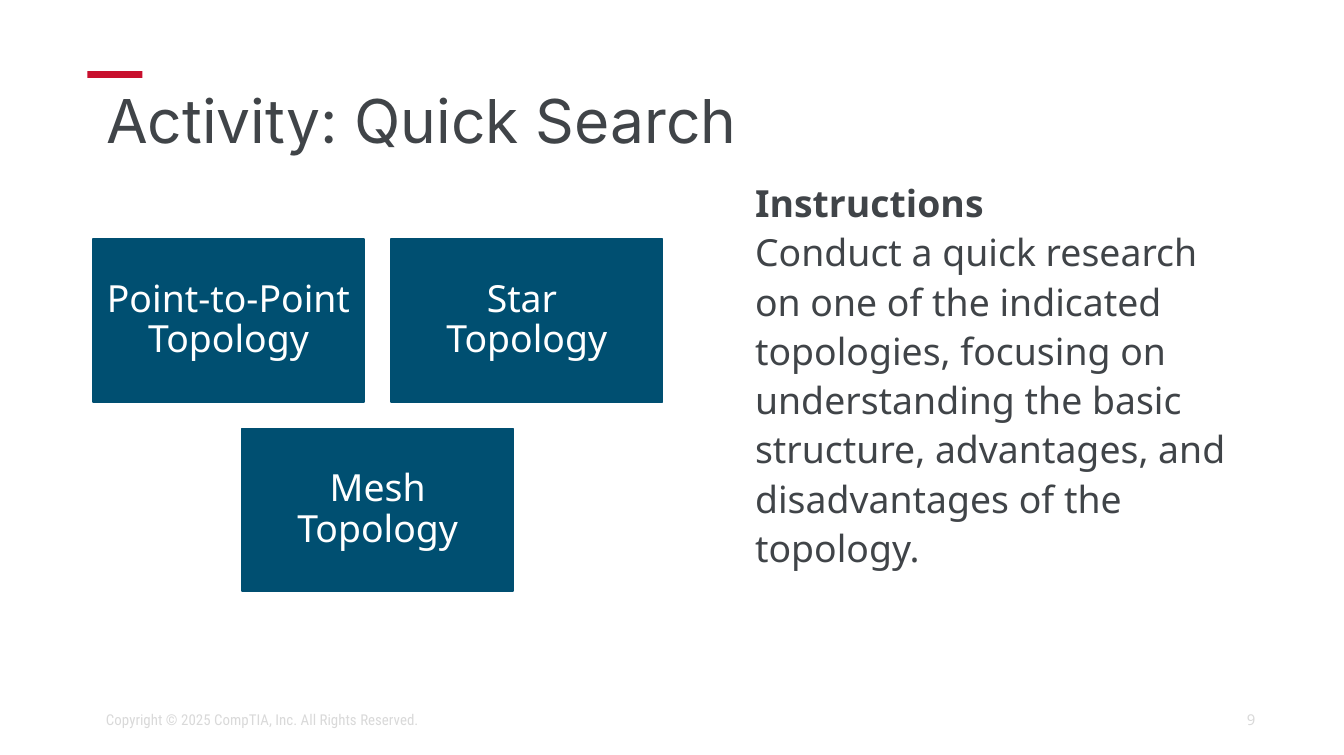
from pptx import Presentation
from pptx.dml.color import RGBColor
from pptx.enum import shapes, text
from pptx.util import Inches, Pt

COLORS = {"accent": "C8102E", "box": "004F71", "ink": "404448",
          "white": "FFFFFF", "footer": "D9D9D9"}
BODY_FONT = "Noto Sans"
BOX_W, BOX_H, GAP = 2.02, 1.21, 0.2
GRID_LEFT, GRID_TOP = 0.69, 1.78


def rgb(name):
    return RGBColor.from_string(COLORS[name])


def format_text(tf, size, color, font=BODY_FONT, align=text.PP_ALIGN.LEFT,
                anchor=text.MSO_ANCHOR.MIDDLE, spacing=1.0):
    tf.word_wrap = True
    tf.auto_size = text.MSO_AUTO_SIZE.NONE
    tf.vertical_anchor = anchor
    for p in tf.paragraphs:
        p.alignment = align
        p.line_spacing = spacing
        p.space_before = p.space_after = Pt(0)
        for r in p.runs:
            r.font.size = Pt(size)
            r.font.name = font
            r.font.color.rgb = rgb(color)


def add_rect(s, left, top, width, height, color):
    sp = s.shapes.add_shape(shapes.MSO_SHAPE.RECTANGLE, Inches(left), Inches(top),
                            Inches(width), Inches(height))
    sp.shadow.inherit = False
    sp.fill.solid()
    sp.fill.fore_color.rgb = rgb(color)
    sp.line.fill.background()
    return sp


def add_topology(s, label, left, top):
    sp = add_rect(s, left, top, BOX_W, BOX_H, "box")
    sp.line.color.rgb = rgb("box")
    sp.line.width = Pt(1)
    tf = sp.text_frame
    tf.margin_left = tf.margin_right = tf.margin_top = tf.margin_bottom = Inches(0.08)
    tf.text = label
    format_text(tf, 20, "white", align=text.PP_ALIGN.CENTER, spacing=0.9)


def add_text(s, content, left, top, width, height, size, color, **style):
    tf = s.shapes.add_textbox(Inches(left), Inches(top),
                              Inches(width), Inches(height)).text_frame
    tf.text = content
    format_text(tf, size, color, **style)
    return tf


def set_title(s, content):
    title = s.shapes.title
    title.left, title.top = Inches(0.69), Inches(0.65)
    title.width, title.height = Inches(8.66), Inches(0.54)
    title.text_frame.text = content
    format_text(title.text_frame, 32.4, "ink", font="Inter", spacing=0.9)


def main():
    prs = Presentation()
    prs.slide_width, prs.slide_height = Inches(10), Inches(5.62)
    s = prs.slides.add_slide(prs.slide_layouts[5])

    # Heading with accent bar
    add_rect(s, 0.65, 0.53, 0.41, 0.05, "accent")
    set_title(s, "Activity: Quick Search")

    # Topology boxes: two above, one centred below
    step = BOX_W + GAP
    for label, col, row in [("Point-to-Point Topology", 0, 0),
                            ("Star \vTopology", 1, 0),
                            ("Mesh Topology", 0.5, 1)]:
        add_topology(s, label, GRID_LEFT + col * step,
                     GRID_TOP + row * (BOX_H + GAP))

    # Instructions
    tf = add_text(s, "Instructions\nConduct a quick research on one of the indicated "
                  "topologies, focusing on understanding the basic structure, "
                  "advantages, and disadvantages of the topology.",
                  5.52, 1.26, 3.83, 3.68, 20, "ink",
                  anchor=text.MSO_ANCHOR.TOP, spacing=1.1)
    tf.paragraphs[0].runs[0].font.bold = True

    # Footer
    add_text(s, "9", 7.06, 5.21, 2.38, 0.3, 8, "footer", align=text.PP_ALIGN.RIGHT)
    add_text(s, "Copyright © 2025 CompTIA, Inc. All Rights Reserved.",
             0.69, 5.21, 4.31, 0.3, 8, "footer", font="Roboto Condensed")

    prs.save("out.pptx")


if __name__ == "__main__":
    main()
